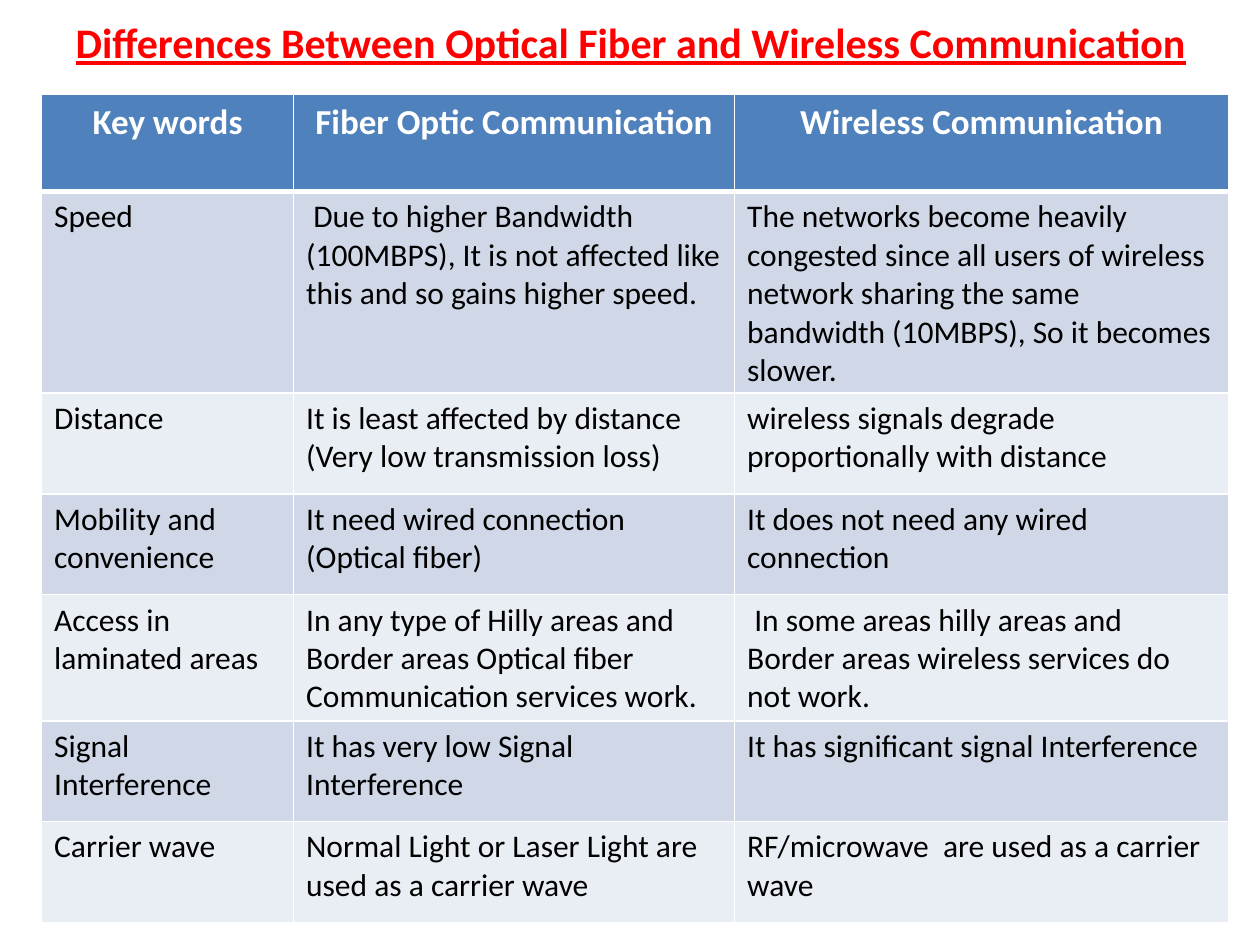
from dataclasses import dataclass

from lxml import etree
from pptx import Presentation
from pptx.dml.color import RGBColor
from pptx.enum.text import MSO_ANCHOR, MSO_AUTO_SIZE, PP_ALIGN
from pptx.oxml.ns import qn
from pptx.util import Inches, Pt

TOP = MSO_ANCHOR.TOP
LEFT, CENTER = PP_ALIGN.LEFT, PP_ALIGN.CENTER
GROW = MSO_AUTO_SIZE.SHAPE_TO_FIT_TEXT
TITLE_ONLY = 5


@dataclass(frozen=True)
class Theme:
    font: str = "Calibri"
    title: str = "FF0000"
    header_fill: str = "4F81BD"
    header_text: str = "FFFFFF"
    body_text: str = "000000"
    bands: tuple = ("D0D8E8", "E9EDF4")
    border: str = "FFFFFF"
    title_size: int = 24
    header_size: int = 20
    body_size: int = 18
    thin: int = 1
    thick: int = 3


THEME = Theme()
TITLE_BOX = (0.5, 0.08, 9.25, 0.5)
TABLE_BOX = (0.33, 0.75, 9.42, 6.58)
COLUMN_WIDTHS = (2, 3.5, 3.92)
ROW_HEIGHTS = (0.77, 1.56) + (0.8,) * 5

TITLE = "Differences Between Optical Fiber and Wireless Communication"
ROWS = (
    ("Key words", "Fiber Optic Communication", "Wireless Communication"),
    ("Speed",
     " Due to higher Bandwidth (100MBPS), It is not affected like this and so gains higher speed.",
     "The networks become heavily congested since all users of wireless network sharing "
     "the same bandwidth (10MBPS), So it becomes slower."),
    ("Distance",
     "It is least affected by distance\n(Very low transmission loss)",
     "wireless signals degrade proportionally with distance"),
    ("Mobility and convenience",
     "It need wired connection (Optical fiber)",
     "It does not need any wired connection"),
    ("Access in laminated areas",
     "In any type of Hilly areas and Border areas Optical fiber Communication services work.",
     " In some areas hilly areas and Border areas wireless services do not work."),
    ("Signal Interference",
     "It has very low Signal Interference",
     "It has significant signal Interference"),
    ("Carrier wave",
     "Normal Light or Laser Light are used as a carrier wave",
     "RF/microwave  are used as a carrier wave"),
)


def write_text(frame, text, color, alignment, **font_format):
    frame.text = text
    for paragraph in frame.paragraphs:
        paragraph.alignment = alignment
        for run in paragraph.runs:
            for name, value in {"name": THEME.font, **font_format}.items():
                setattr(run.font, name, value)
            run.font.color.rgb = RGBColor.from_string(color)


def set_borders(cell, widths):
    properties = cell._tc.get_or_add_tcPr()
    for side, width in widths.items():
        line = etree.SubElement(properties, qn(f"a:ln{side}"), w=str(Pt(width)))
        fill = etree.SubElement(line, qn("a:solidFill"))
        etree.SubElement(fill, qn("a:srgbClr"), val=THEME.border)


def add_title(slide, box):
    title = slide.shapes.title
    for name, value in zip(("left", "top", "width", "height"), box):
        setattr(title, name, Inches(value))
    frame = title.text_frame
    write_text(frame, TITLE, THEME.title, LEFT,
               size=Pt(THEME.title_size), bold=True, underline=True)
    for name, value in {"vertical_anchor": TOP, "word_wrap": True, "auto_size": GROW}.items():
        setattr(frame, name, value)


def format_cell(cell, text, row_index):
    is_header = row_index == 0
    set_borders(cell, {
        "L": THEME.thin,
        "R": THEME.thin,
        "T": THEME.thick if row_index == 1 else THEME.thin,
        "B": THEME.thick if is_header else THEME.thin,
    })
    band = THEME.bands[(row_index - 1) % len(THEME.bands)]
    cell.fill.solid()
    cell.fill.fore_color.rgb = RGBColor.from_string(THEME.header_fill if is_header else band)
    write_text(cell.text_frame, text,
               THEME.header_text if is_header else THEME.body_text,
               CENTER if is_header else LEFT,
               size=Pt(THEME.header_size if is_header else THEME.body_size),
               bold=is_header)


def add_comparison_table(slide, box):
    table = slide.shapes.add_table(
        len(ROWS), len(COLUMN_WIDTHS), *map(Inches, box)).table
    for column, width in zip(table.columns, COLUMN_WIDTHS):
        column.width = Inches(width)
    for row_index, (row, height, texts) in enumerate(zip(table.rows, ROW_HEIGHTS, ROWS)):
        row.height = Inches(height)
        for cell, text in zip(row.cells, texts):
            format_cell(cell, text, row_index)


def main():
    presentation = Presentation()
    presentation.slide_width = Inches(10)
    presentation.slide_height = Inches(7.5)
    slide = presentation.slides.add_slide(presentation.slide_layouts[TITLE_ONLY])
    add_title(slide, TITLE_BOX)
    add_comparison_table(slide, TABLE_BOX)
    presentation.save("out.pptx")


if __name__ == "__main__":
    main()
